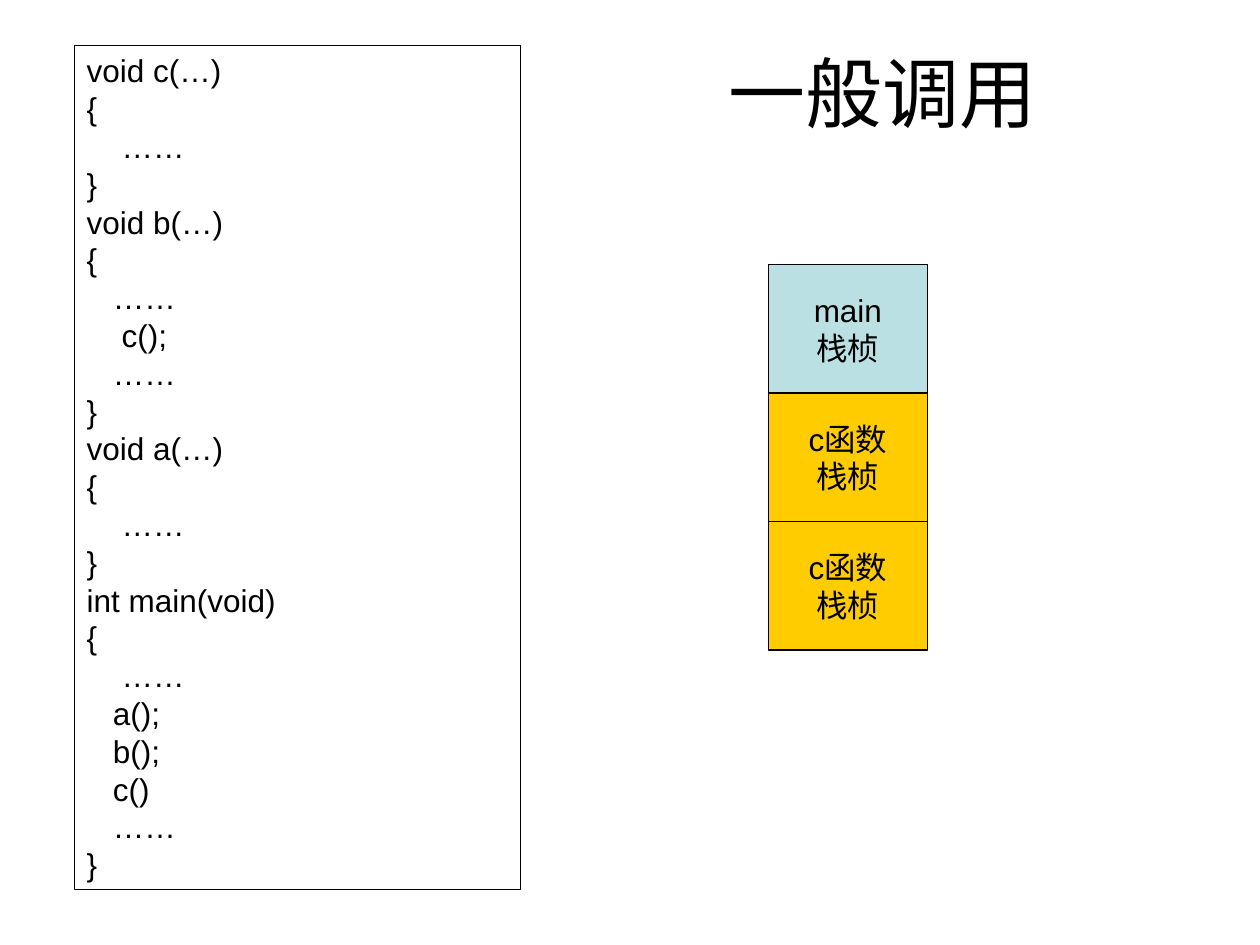
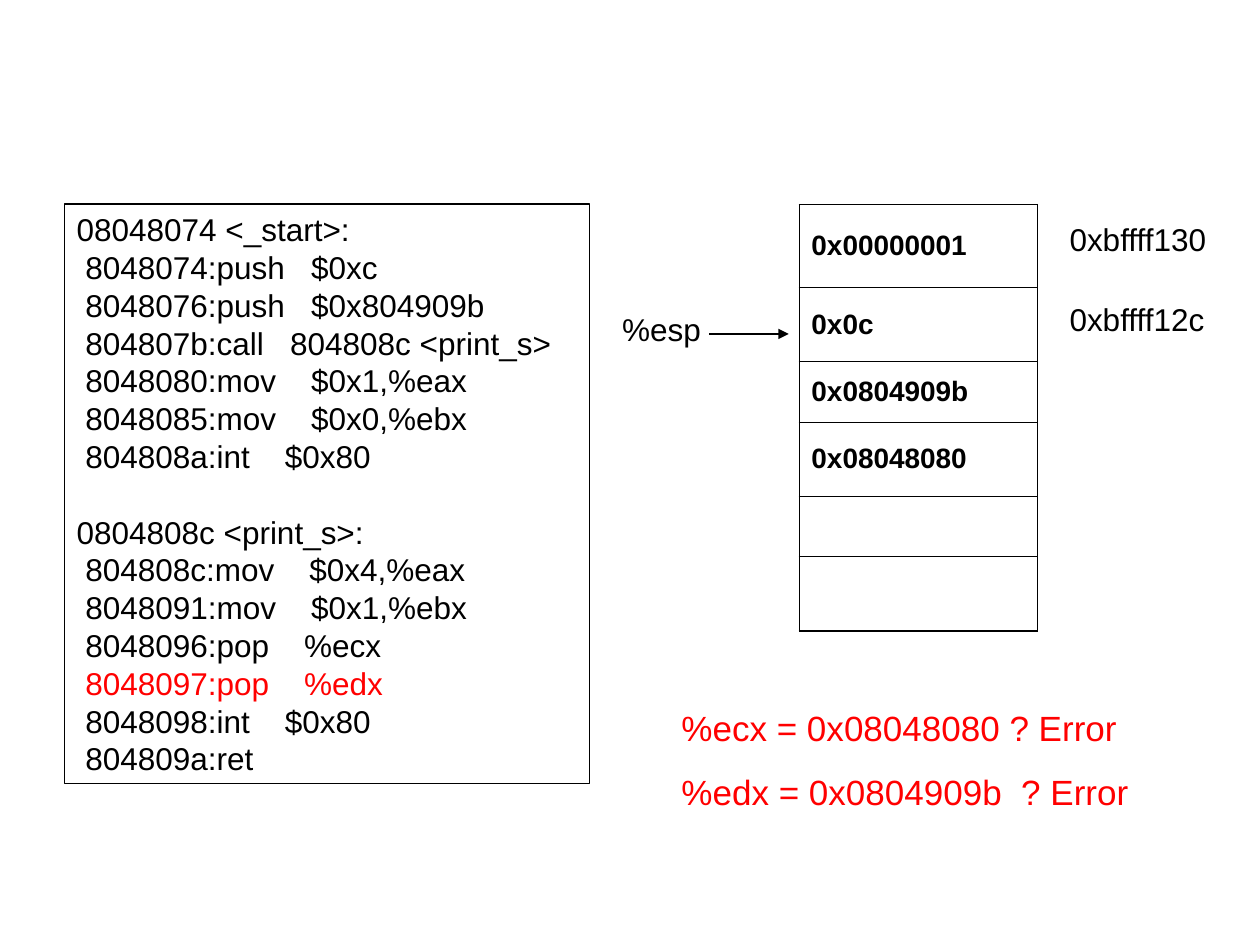
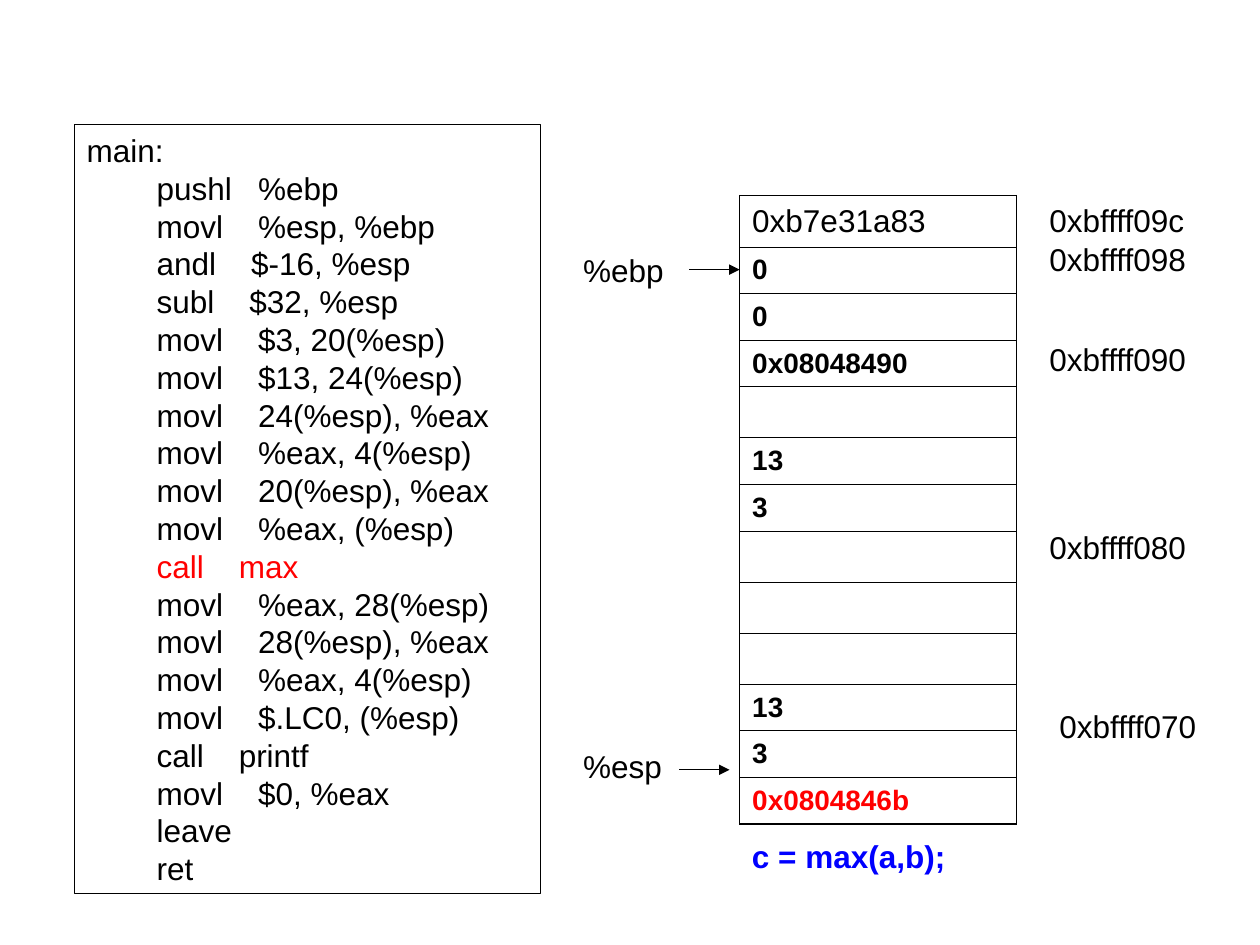
from lxml.etree import SubElement
from pptx import Presentation
from pptx.dml.color import RGBColor
from pptx.enum.shapes import MSO_CONNECTOR, MSO_SHAPE
from pptx.enum.text import MSO_ANCHOR, PP_ALIGN
from pptx.oxml.ns import qn
from pptx.util import Inches, Pt

COLORS = {"black": "000000", "red": "FF0000", "blue": "0000FF",
          "main": "BBE0E3", "callee": "FFCC00"}
FONT = "Arial"

CALL_CODE = """void c(…)
{
    ……
}
void b(…)
{
   ……
    c();
   ……
}
void a(…)
{
    ……
}
int main(void)
{
    ……
   a();
   b();
   c()
   ……
}"""

PRINT_CODE = """08048074 <_start>:
 8048074:push   $0xc
 8048076:push   $0x804909b
 804807b:call   804808c <print_s>
 8048080:mov    $0x1,%eax
 8048085:mov    $0x0,%ebx
 804808a:int    $0x80
0804808c <print_s>:
 804808c:mov    $0x4,%eax
 8048091:mov    $0x1,%ebx
 8048096:pop    %ecx
 8048097:pop    %edx
 8048098:int    $0x80
 804809a:ret"""

MAX_CODE = """main:
        pushl   %ebp
        movl    %esp, %ebp
        andl    $-16, %esp
        subl    $32, %esp
        movl    $3, 20(%esp)
        movl    $13, 24(%esp)
        movl    24(%esp), %eax
        movl    %eax, 4(%esp)
        movl    20(%esp), %eax
        movl    %eax, (%esp)
        call    max
        movl    %eax, 28(%esp)
        movl    28(%esp), %eax
        movl    %eax, 4(%esp)
        movl    $.LC0, (%esp)
        call    printf
        movl    $0, %eax
        leave
        ret"""

RED_TEXTS = {"8048097:pop    %edx", "call    max", "0x0804846b"}


def write_text(tf, lines, size=18, color="black", bold=False, align=PP_ALIGN.LEFT):
    """Fill a text frame with one paragraph per line; RED_TEXTS are always red."""
    tf.word_wrap = True
    for i, line in enumerate(lines):
        p = tf.paragraphs[0] if i == 0 else tf.add_paragraph()
        p.alignment = align
        r = p.add_run()
        r.text = line
        r.font.name = FONT
        r.font.size = Pt(size)
        r.font.bold = bold
        name = "red" if line.strip() in RED_TEXTS else color
        r.font.color.rgb = RGBColor.from_string(COLORS[name])


def add_box(slide, x, y, w, h, fill=None):
    sp = slide.shapes.add_shape(MSO_SHAPE.RECTANGLE, Inches(x), Inches(y),
                                Inches(w), Inches(h))
    sp.shadow.inherit = False
    sp.line.color.rgb = RGBColor.from_string(COLORS["black"])
    sp.line.width = Pt(0.75)
    if fill:
        sp.fill.solid()
        sp.fill.fore_color.rgb = RGBColor.from_string(COLORS[fill])
    else:
        sp.fill.background()
    sp.text_frame.vertical_anchor = MSO_ANCHOR.MIDDLE if fill else MSO_ANCHOR.TOP
    return sp


prs = Presentation()
prs.slide_width, prs.slide_height = Inches(10), Inches(7.5)
title_only, blank = prs.slide_layouts[5], prs.slide_layouts[6]
call_slide = prs.slides.add_slide(title_only)
print_slide = prs.slides.add_slide(blank)
max_slide = prs.slides.add_slide(blank)

# Title
title = call_slide.shapes.title
title.left, title.top = Inches(4.92), Inches(0.3)
title.width, title.height = Inches(4.17), Inches(0.85)
title.text_frame.vertical_anchor = MSO_ANCHOR.MIDDLE
write_text(title.text_frame, ["一般调用"], size=44, align=PP_ALIGN.CENTER)

# Code listings
for s, code, x, y, w, h in [
    (call_slide, CALL_CODE, 0.59, 0.36, 3.54, 6.7),
    (print_slide, PRINT_CODE, 0.51, 1.62, 4.17, 4.6),
    (max_slide, MAX_CODE, 0.59, 0.99, 3.7, 6.1),
]:
    sp = add_box(s, x, y, w, h)
    write_text(sp.text_frame, code.split("\n"))
    for p in sp.text_frame.paragraphs[1:]:
        if p.text.endswith("<print_s>:"):
            p.space_before = Pt(21.6)

# Stack frames
FRAME_H = 1.02
for i, (name, fill) in enumerate([("main", "main"), ("c函数", "callee"), ("c函数", "callee")]):
    sp = add_box(call_slide, 6.1, 2.1 + i * FRAME_H, 1.26, FRAME_H, fill)
    write_text(sp.text_frame, [name, "栈桢"], align=PP_ALIGN.CENTER)

# Stack contents
for s, x, y, w, heights, values in [
    (print_slide, 6.34, 1.62, 1.89, [0.66, 0.59, 0.48, 0.59, 0.48, 0.59],
     ["0x00000001", "0x0c", "0x0804909b", "0x08048080", "", ""]),
    (max_slide, 5.87, 1.55, 2.2, [0.41] + [0.37] * 12,
     ["0xb7e31a83", "0", "0", "0x08048490", "", "13", "3", "", "", "",
      "13", "3", "0x0804846b"]),
]:
    table = s.shapes.add_table(len(values), 1, Inches(x), Inches(y), Inches(w),
                               Inches(sum(heights))).table
    table.first_row = table.horz_banding = False
    for i, (height, value) in enumerate(zip(heights, values)):
        table.rows[i].height = Inches(height)
        cell = table.cell(i, 0)
        cell.vertical_anchor = MSO_ANCHOR.MIDDLE
        if value:
            plain = value == "0xb7e31a83"
            write_text(cell.text_frame, [value], size=18 if plain else 16, bold=not plain)
        tcPr = cell._tc.get_or_add_tcPr()
        for side in ("L", "R", "T", "B"):
            last_edge = side == "B" and i == len(values) - 1
            ln = SubElement(tcPr, qn(f"a:ln{side}"), w=str(Pt(1.08 if last_edge else 0.45)))
            SubElement(SubElement(ln, qn("a:solidFill")), qn("a:srgbClr"), val=COLORS["black"])
        cell.fill.background()

# Addresses, registers and the call
for s, text, x, y, w, color, bold in [
    (print_slide, "0xbffff130", 8.39, 1.7, 1.34, "black", False),
    (print_slide, "0xbffff12c", 8.39, 2.33, 1.34, "black", False),
    (print_slide, "%esp", 4.84, 2.41, 0.87, "black", False),
    (max_slide, "0xbffff09c", 8.23, 1.55, 1.42, "black", False),
    (max_slide, "0xbffff098", 8.23, 1.86, 1.42, "black", False),
    (max_slide, "0xbffff090", 8.23, 2.65, 1.42, "black", False),
    (max_slide, "0xbffff080", 8.23, 4.14, 1.42, "black", False),
    (max_slide, "0xbffff070", 8.31, 5.56, 1.42, "black", False),
    (max_slide, "%ebp", 4.53, 1.94, 0.95, "black", False),
    (max_slide, "%esp", 4.53, 5.88, 0.95, "black", False),
    (max_slide, "c = max(a,b);", 5.87, 6.59, 2.36, "blue", True),
]:
    sp = s.shapes.add_textbox(Inches(x), Inches(y), Inches(w), Inches(0.4))
    write_text(sp.text_frame, [text], color=color, bold=bold)

# Wrong register values
errors = print_slide.shapes.add_textbox(Inches(5.31), Inches(5.56), Inches(4.02), Inches(0.94))
write_text(errors.text_frame, ["%ecx = 0x08048080 ? Error", "%edx = 0x0804909b  ? Error"],
           size=20, color="red")
errors.text_frame.paragraphs[1].space_before = Pt(12.5)

# Register arrows
for s, x1, x2, y in [(print_slide, 5.63, 6.26, 2.65),
                     (max_slide, 5.47, 5.87, 2.14),
                     (max_slide, 5.39, 5.79, 6.11)]:
    arrow = s.shapes.add_connector(MSO_CONNECTOR.STRAIGHT, Inches(x1), Inches(y),
                                   Inches(x2), Inches(y))
    arrow.line.color.rgb = RGBColor.from_string(COLORS["black"])
    arrow.line.width = Pt(0.75)
    SubElement(arrow.line._get_or_add_ln(), qn("a:tailEnd"), type="triangle")
    SubElement(arrow._element.spPr, qn("a:effectLst"))

prs.save("out.pptx")
